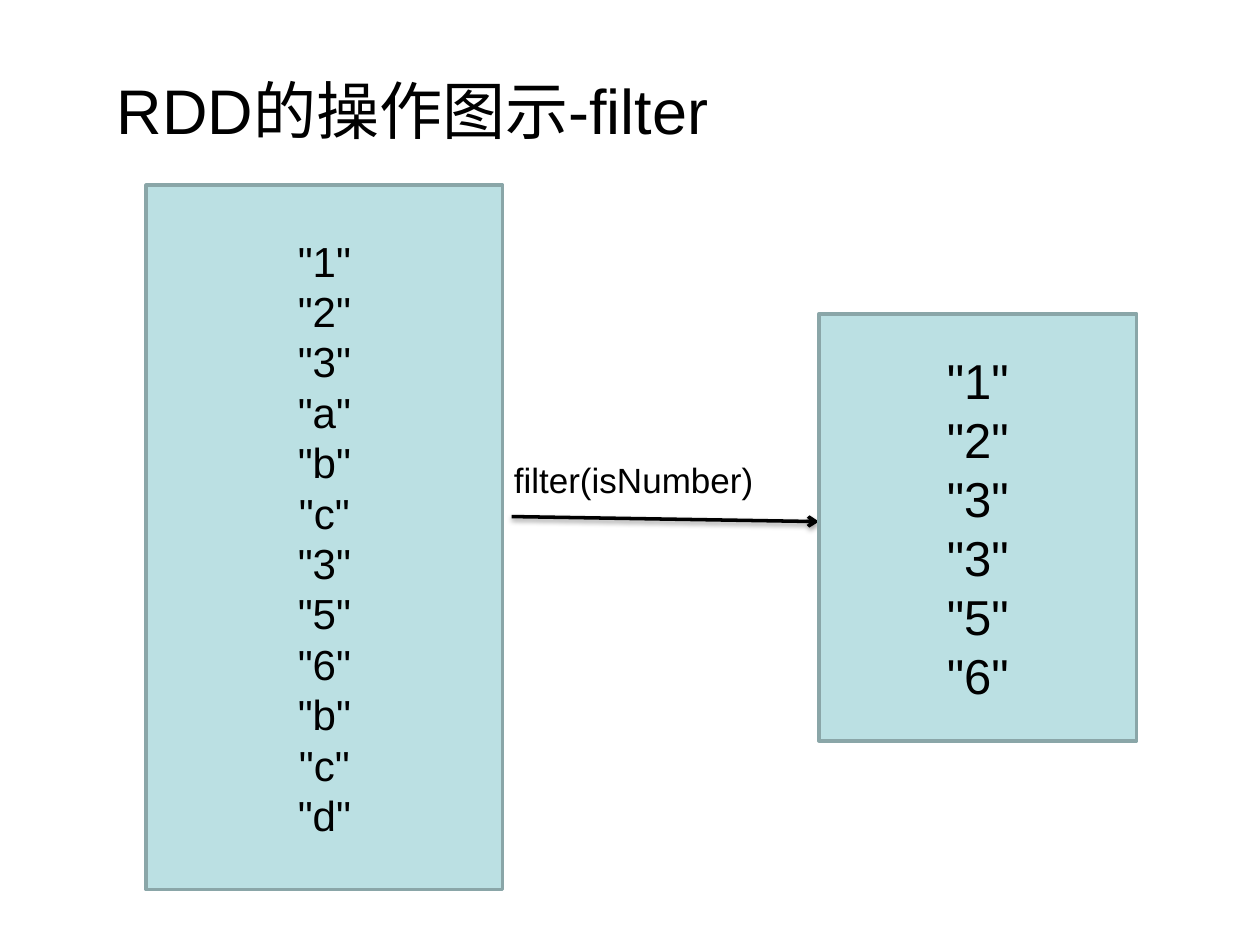
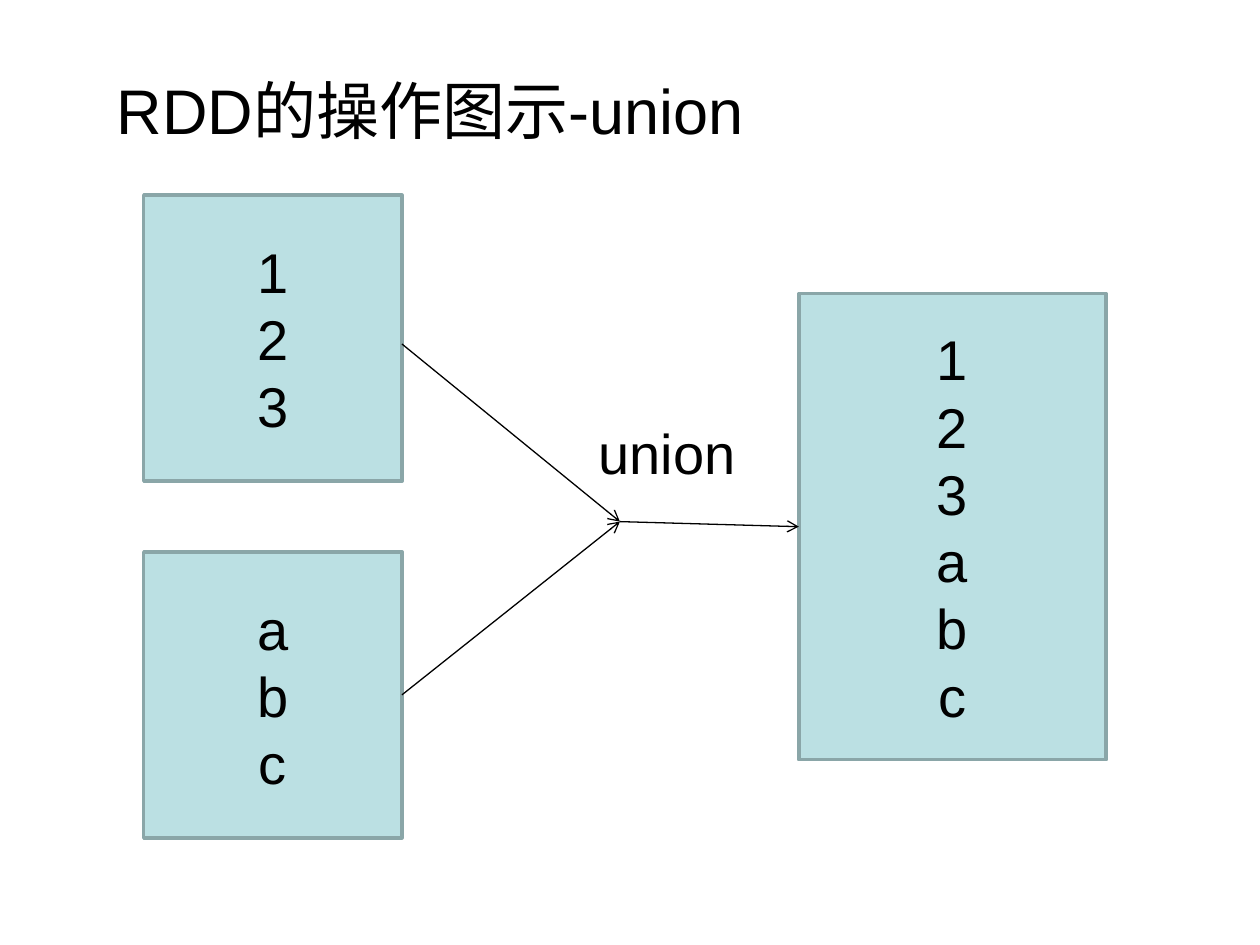
"""Build two slides that show the RDD operations filter and union."""
from dataclasses import dataclass
from typing import NamedTuple, Optional

from lxml import etree
from pptx import Presentation
from pptx.dml.color import RGBColor
from pptx.enum.shapes import MSO_CONNECTOR, MSO_SHAPE
from pptx.enum.text import MSO_ANCHOR, MSO_AUTO_SIZE, PP_ALIGN
from pptx.oxml.ns import qn
from pptx.presentation import Presentation as Deck
from pptx.shapes.autoshape import Shape
from pptx.slide import Slide
from pptx.util import Inches, Pt

RECT = MSO_SHAPE.RECTANGLE
LINE = MSO_CONNECTOR.STRAIGHT
MIDDLE = MSO_ANCHOR.MIDDLE
GROW = MSO_AUTO_SIZE.SHAPE_TO_FIT_TEXT
LEFT, CENTER = PP_ALIGN.LEFT, PP_ALIGN.CENTER
LEFT_SIDE, RIGHT_SIDE = 1, 3


@dataclass(frozen=True)
class Theme:
    font: str = "Arial"
    ink: RGBColor = RGBColor(0x00, 0x00, 0x00)
    fill: RGBColor = RGBColor(0xBB, 0xE0, 0xE3)
    edge: RGBColor = RGBColor(0x8A, 0xA6, 0xA8)
    title: int = 36
    large: int = 32
    medium: int = 28
    small: int = 24
    note: int = 20
    thick: float = 2
    thin: float = 0.75


THEME = Theme()


class Area(NamedTuple):
    left: float
    top: float
    width: float
    height: float


class Point(NamedTuple):
    x: float
    y: float


@dataclass(frozen=True)
class Box:
    area: Area
    items: list[str]
    size: int


@dataclass(frozen=True)
class Label:
    area: Area
    text: str
    size: int


@dataclass(frozen=True)
class Arrow:
    start: Point
    end: Point
    width: float = THEME.thin
    source: Optional[Shape] = None
    target: Optional[Shape] = None
    shade: bool = False


def write(shape: Shape, lines: list[str], size: int, align: PP_ALIGN) -> None:
    """Write one paragraph for each line."""
    frame = shape.text_frame
    frame.word_wrap = True
    for i, line in enumerate(lines):
        para = frame.paragraphs[0] if i == 0 else frame.add_paragraph()
        para.alignment = align
        run = para.add_run()
        run.text = line
        run.font.name = THEME.font
        run.font.size = Pt(size)
        run.font.color.rgb = THEME.ink


def draw_box(slide: Slide, box: Box) -> Shape:
    """Draw a data set as a filled box with its items."""
    shape = slide.shapes.add_shape(RECT, *map(Inches, box.area))
    shape.shadow.inherit = False
    shape.fill.solid()
    shape.fill.fore_color.rgb = THEME.fill
    shape.line.color.rgb = THEME.edge
    shape.line.width = Pt(THEME.thick)
    shape.text_frame.vertical_anchor = MIDDLE
    write(shape, box.items, box.size, CENTER)
    return shape


def draw_label(slide: Slide, label: Label) -> None:
    """Draw plain text that its frame grows to fit."""
    shape = slide.shapes.add_textbox(*map(Inches, label.area))
    write(shape, [label.text], label.size, LEFT)
    shape.text_frame.auto_size = GROW


def add_shade(effects: etree._Element) -> None:
    """Add a soft shadow that falls straight down."""
    shade = etree.SubElement(
        effects, qn("a:outerShdw"), blurRad=str(Pt(3.1)),
        dist=str(Pt(1.6)), dir="5400000", rotWithShape="0")
    color = etree.SubElement(shade, qn("a:srgbClr"), val=str(THEME.ink))
    etree.SubElement(color, qn("a:alpha"), val="38000")


def draw_arrow(slide: Slide, arrow: Arrow) -> None:
    """Draw a straight arrow and join it to the boxes it names."""
    ends = map(Inches, (*arrow.start, *arrow.end))
    link = slide.shapes.add_connector(LINE, *ends)
    if arrow.source is not None:
        link.begin_connect(arrow.source, RIGHT_SIDE)
    if arrow.target is not None:
        link.end_connect(arrow.target, LEFT_SIDE)
    link.line.color.rgb = THEME.ink
    link.line.width = Pt(arrow.width)
    etree.SubElement(link.line._get_or_add_ln(), qn("a:tailEnd"), type="arrow")
    effects = etree.SubElement(link._element.spPr, qn("a:effectLst"))
    if arrow.shade:
        add_shade(effects)


def add_slide(deck: Deck, name: str) -> Slide:
    """Add a blank slide titled with the name of the operation."""
    slide = deck.slides.add_slide(deck.slide_layouts[6])
    title = f"RDD的操作图示-{name}"
    draw_label(slide, Label(Area(0.83, 0.52, 7.35, 0.7), title, THEME.title))
    return slide


def add_filter(deck: Deck) -> None:
    """Show how filter keeps only the numbers."""
    slide = add_slide(deck, "filter")
    data = list("123abc356bcd")
    kept = filter(str.isdigit, data)
    draw_box(slide, Box(Area(1.16, 1.47, 2.83, 5.59),
                        [f'"{item}"' for item in data], THEME.small))
    draw_arrow(slide, Arrow(Point(4.06, 4.1), Point(6.5, 4.14),
                            THEME.thick, shade=True))
    draw_label(slide, Label(Area(3.98, 3.59, 2.41, 0.43),
                            "filter(isNumber)", THEME.note))
    draw_box(slide, Box(Area(6.5, 2.49, 2.52, 3.39),
                        [f'"{item}"' for item in kept], THEME.medium))


def add_union(deck: Deck) -> None:
    """Show how union puts two data sets together."""
    slide = add_slide(deck, "union")
    digits, letters = list("123"), list("abc")
    upper, lower, result = (
        draw_box(slide, Box(area, items, THEME.large))
        for area, items in (
            (Area(1.14, 1.55, 2.05, 2.27), digits),
            (Area(1.14, 4.38, 2.05, 2.27), letters),
            (Area(6.34, 2.33, 2.44, 3.7), digits + letters),
        )
    )
    meet = Point(4.92, 4.14)
    for arrow in (
        Arrow(Point(3.19, 2.73), meet),
        Arrow(Point(3.19, 5.52), meet, source=lower),
        Arrow(meet, Point(6.34, 4.18), target=result),
    ):
        draw_arrow(slide, arrow)
    draw_label(slide, Label(Area(4.65, 3.27, 1.45, 0.63),
                            "union", THEME.large))


def main() -> None:
    """Build the deck and save it."""
    deck = Presentation()
    deck.slide_width, deck.slide_height = Inches(10), Inches(7.5)
    add_filter(deck)
    add_union(deck)
    deck.save("out.pptx")


if __name__ == "__main__":
    main()
